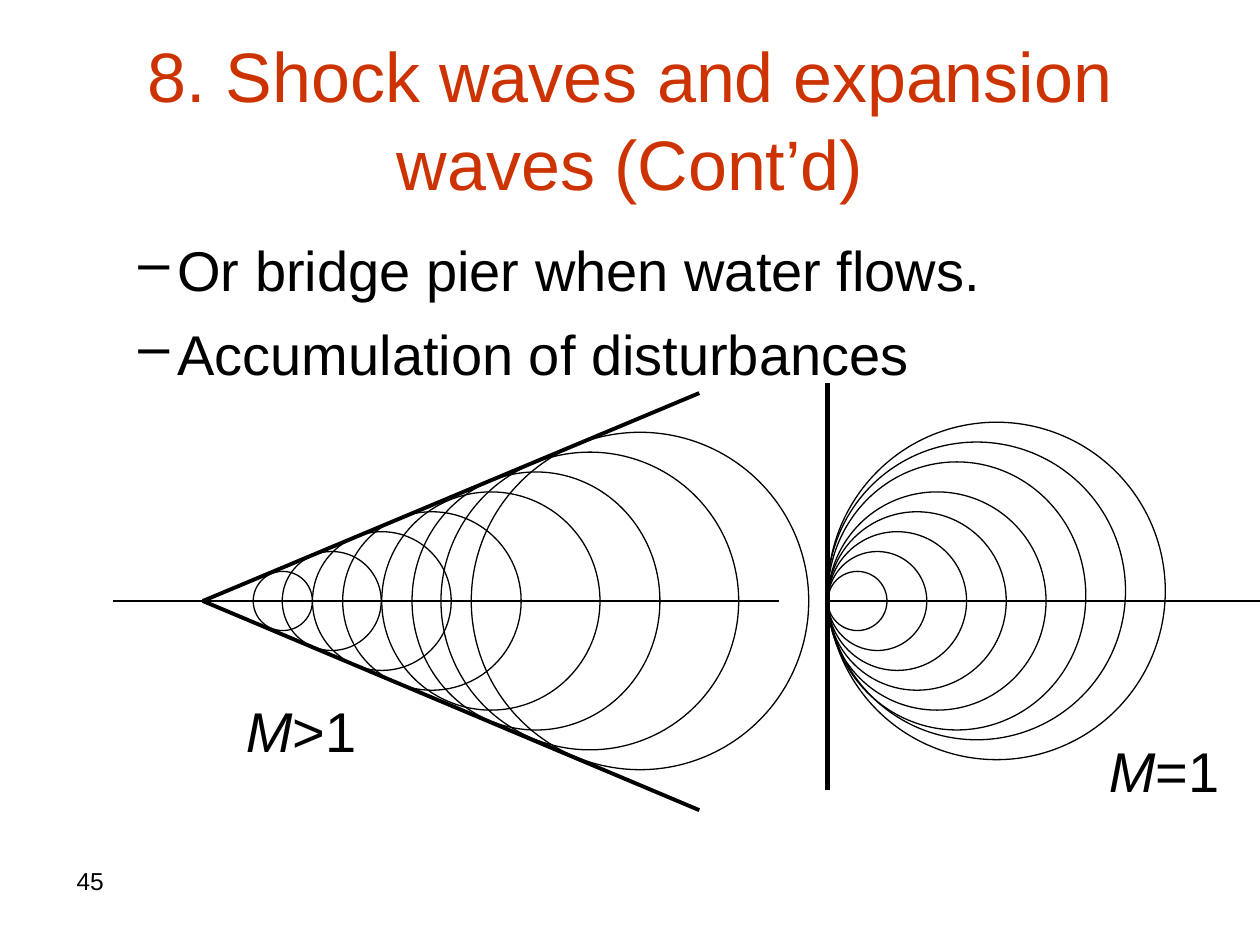
from dataclasses import dataclass

from lxml import etree
from pptx import Presentation
from pptx.enum import shapes, text
from pptx.oxml import ns
from pptx.util import Inches, Pt
from pptx.dml.color import RGBColor

COLOURS = {"title": "CC3300", "ink": "000000"}
FONT = "Arial"
AXIS_Y = 4.77
WALL_X = 6.57
APEX_X = 1.61
SMALLEST, GROWTH = 0.47, 0.3155


@dataclass
class Span:
    words: str
    italic: bool = False


@dataclass
class Label:
    left: float
    top: float
    width: float
    height: float
    paras: list[list[Span]]
    size: int
    colour: str = "ink"
    align: text.PP_ALIGN = text.PP_ALIGN.LEFT
    anchor: text.MSO_ANCHOR = text.MSO_ANCHOR.TOP
    wrap: bool = True
    dashed: bool = False
    spacing: float = 1.0


@dataclass
class Line:
    start: tuple[float, float]
    end: tuple[float, float]
    weight: float


@dataclass
class Wave:
    left: float
    rise: float = 0
    widen: float = 0
    heighten: float = 0


def colour_of(name: str) -> RGBColor:
    return RGBColor.from_string(COLOURS[name])


def set_values(target, values: dict) -> None:
    for name, value in values.items():
        setattr(target, name, value)


def add_dash(para) -> None:
    properties = para._p.get_or_add_pPr()
    properties.set("marL", str(Inches(0.81)))
    properties.set("indent", str(Inches(-0.31)))
    bullet = etree.SubElement(properties, ns.qn("a:buChar"))
    bullet.set("char", "–")


def add_label(page, label: Label) -> None:
    box = page.shapes.add_textbox(*map(Inches, (label.left, label.top, label.width, label.height)))
    frame = box.text_frame
    set_values(frame, {"word_wrap": label.wrap, "vertical_anchor": label.anchor})
    for index, spans in enumerate(label.paras):
        para = frame.paragraphs[0] if index == 0 else frame.add_paragraph()
        if label.dashed:
            add_dash(para)
        set_values(para, {"alignment": label.align, "line_spacing": label.spacing})
        if index:
            para.space_before = Pt(8)
        for span in spans:
            run = para.add_run()
            run.text = span.words
            set_values(run.font, {"name": FONT, "size": Pt(label.size), "italic": span.italic})
            run.font.color.rgb = colour_of(label.colour)


def add_line(page, line: Line) -> None:
    connector = page.shapes.add_connector(
        shapes.MSO_CONNECTOR.STRAIGHT, *map(Inches, line.start + line.end))
    connector.line.width = Pt(line.weight)
    connector.line.color.rgb = colour_of("ink")
    etree.SubElement(connector._element.spPr, ns.qn("a:effectLst"))


def add_waves(page, waves: list[Wave]) -> None:
    for index, wave in enumerate(waves):
        diameter = SMALLEST + GROWTH * index
        width, height = diameter + wave.widen, diameter + wave.heighten
        top = AXIS_Y - wave.rise - height / 2
        circle = page.shapes.add_shape(
            shapes.MSO_SHAPE.OVAL, *map(Inches, (wave.left, top, width, height)))
        circle.shadow.inherit = False
        circle.fill.background()
        circle.line.width = Pt(0.75)
        circle.line.color.rgb = colour_of("ink")


def mach_label(left: float, top: float, relation: str) -> Label:
    return Label(left, top, 1.08, 0.64, [[Span("M", True), Span(relation)]], 32,
                 align=text.PP_ALIGN.CENTER, wrap=False)


LABELS = [
    Label(0.5, 0.3, 9, 1.25, [[Span("8. Shock waves and expansion waves (Cont’d)")]], 40,
          "title", text.PP_ALIGN.CENTER, text.MSO_ANCHOR.MIDDLE, spacing=1.05),
    Label(0.5, 1.79, 9, 4.91,
          [[Span("Or bridge pier when water flows.")], [Span("Accumulation of disturbances")]],
          32, dashed=True, spacing=1.05),
    mach_label(1.85, 5.48, ">1"),
    mach_label(8.7, 5.8, "=1"),
    Label(0.51, 6.82, 2.33, 0.52, [[Span("45")]], 14),
]
LINES = [
    Line((WALL_X, 3.04), (WALL_X, 6.27), 3),
    Line((WALL_X, AXIS_Y), (10, AXIS_Y), 0.75),
    Line((0.9, AXIS_Y), (6.18, AXIS_Y), 0.75),
    Line((APEX_X, AXIS_Y), (5.55, 6.43), 2.25),
    Line((APEX_X, AXIS_Y), (5.55, 3.12), 2.25),
]
SONIC_WAVES = [Wave(WALL_X) for _ in range(5)] + [
    Wave(WALL_X, 0.04, heighten=0.08), Wave(WALL_X, 0.08), Wave(WALL_X, 0.08)]
SUPERSONIC_WAVES = [Wave(left) for left in (2.01, 2.24, 2.48, 2.72, 3.03)] + [
    Wave(3.27, widen=-0.08), Wave(3.5), Wave(3.74)]


def main() -> None:
    deck = Presentation()
    set_values(deck, {"slide_width": Inches(10), "slide_height": Inches(7.5)})
    page = deck.slides.add_slide(deck.slide_layouts[6])
    for line in LINES:
        add_line(page, line)
    for waves in (SONIC_WAVES, SUPERSONIC_WAVES):
        add_waves(page, waves)
    for label in LABELS:
        add_label(page, label)
    deck.save("out.pptx")


if __name__ == "__main__":
    main()
